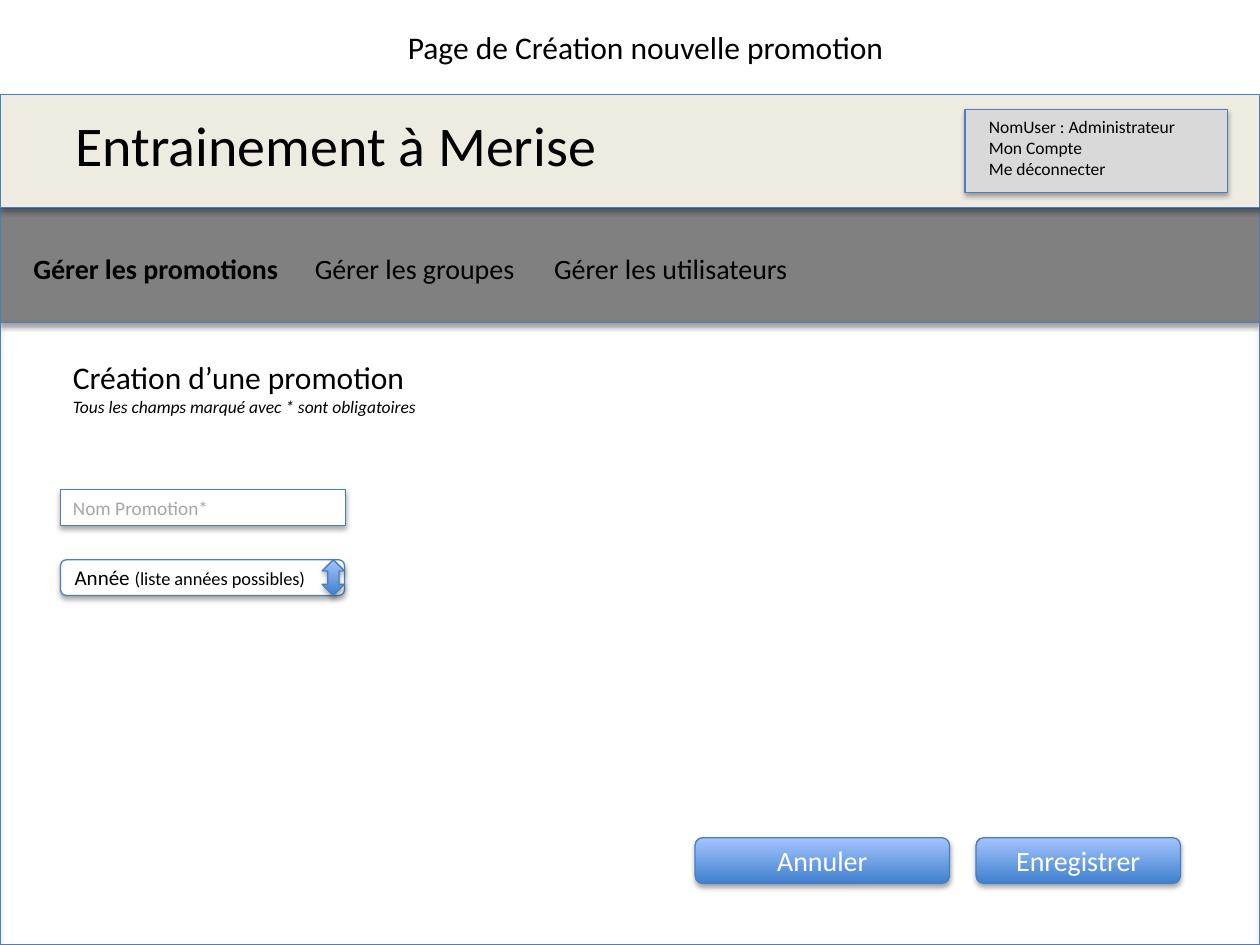
"""Build the mock-up of the page for creating a new promotion."""
from lxml import etree
from pptx import Presentation
from pptx.dml.color import RGBColor
from pptx.enum.shapes import MSO_SHAPE
from pptx.enum.text import MSO_ANCHOR, PP_ALIGN
from pptx.oxml.ns import nsdecls, qn
from pptx.util import Pt

BLACK = RGBColor(0, 0, 0)
WHITE = RGBColor(255, 255, 255)
PLACEHOLDER = RGBColor(0xA6, 0xA6, 0xA6)
LINE = RGBColor(0x4B, 0x7E, 0xBC)
MENU = RGBColor(0x80, 0x80, 0x80)
BANNER = RGBColor(0xEE, 0xEC, 0xE1)
ACCOUNT = RGBColor(0xD9, 0xD9, 0xD9)
GRADIENT = (RGBColor(0x3F, 0x80, 0xCE), RGBColor(0xA4, 0xC4, 0xFF))
SHADOW = (f'<a:outerShdw {nsdecls("a")} blurRad="{Pt(3.1)}" dist="{Pt(1.8)}" dir="5400000" '
          'rotWithShape="0"><a:srgbClr val="000000"><a:alpha val="35000"/></a:srgbClr></a:outerShdw>')


def add_box(parent, kind, box, fill):
    """Add an outlined shape with a soft shadow."""
    sp = parent.add_shape(kind, *map(Pt, box))
    if fill is None:
        sp.fill.background()
    elif fill is GRADIENT:
        sp.fill.gradient()
        sp.fill.gradient_angle = 90
        for stop, color in zip(sp.fill.gradient_stops, GRADIENT):
            stop.color.rgb = color
    else:
        sp.fill.solid()
        sp.fill.fore_color.rgb = fill
    sp.line.color.rgb = LINE
    sp.line.width = Pt(0.75)
    sp.shadow.inherit = False
    sp._element.spPr.find(qn("a:effectLst")).append(etree.fromstring(SHADOW))
    return sp


def write(sp, paragraphs, color=BLACK, align=PP_ALIGN.LEFT, anchor=MSO_ANCHOR.TOP):
    """Fill a shape with paragraphs of (text, size, bold, italic) runs."""
    tf = sp.text_frame
    tf.word_wrap = True
    tf.vertical_anchor = anchor
    for i, runs in enumerate(paragraphs):
        p = tf.add_paragraph() if i else tf.paragraphs[0]
        p.alignment = align
        for text, size, bold, italic in runs:
            r = p.add_run()
            r.text = text
            r.font.name = "Calibri"
            r.font.size = Pt(size)
            r.font.bold = bold
            r.font.italic = italic
            r.font.color.rgb = color


prs = Presentation()
prs.slide_width, prs.slide_height = Pt(720), Pt(540)
s = prs.slides.add_slide(prs.slide_layouts[6])

for box, fill in [
    ((0, 118.8, 720, 65.5), MENU),
    ((0, 54, 720, 64.8), BANNER),
    ((551.5, 62.6, 149.8, 47.5), ACCOUNT),
    ((0, 184.3, 720, 355.7), None),
]:
    add_box(s.shapes, MSO_SHAPE.RECTANGLE, box, fill)

account = ["NomUser : Administrateur", "Mon Compte", "Me déconnecter"]
for box, align, paragraphs in [
    ((36, 59.8, 318.2, 46), PP_ALIGN.LEFT, [[("Entrainement à Merise", 32, False, False)]]),
    ((138.2, 12.2, 461.5, 29), PP_ALIGN.CENTER,
     [[("Page de Création nouvelle promotion", 18, False, False)]]),
    ((558, 62.6, 123.1, 43.9), PP_ALIGN.LEFT, [[(t, 10, False, False)] for t in account]),
    ((12, 140.4, 160.6, 26.6), PP_ALIGN.LEFT, [[("Gérer les promotions", 16, True, False)]]),
    ((172.8, 140.4, 131.8, 26.6), PP_ALIGN.LEFT, [[("Gérer les groupes", 16, False, False)]]),
    ((309.6, 140.4, 160.6, 26.6), PP_ALIGN.LEFT, [[("Gérer les utilisateurs", 16, False, False)]]),
    ((34.6, 200.9, 247, 42.5), PP_ALIGN.LEFT,
     [[("Création d’une promotion", 18, False, False)],
      [("Tous les champs marqué avec * sont obligatoires", 10, False, True)]]),
]:
    write(s.shapes.add_textbox(*map(Pt, box)), paragraphs, align=align)

name_field = add_box(s.shapes, MSO_SHAPE.RECTANGLE, (34.6, 279.9, 162.7, 20.4), WHITE)
write(name_field, [[("Nom Promotion*", 11, False, False)]], PLACEHOLDER, anchor=MSO_ANCHOR.MIDDLE)

year_list = s.shapes.add_group_shape().shapes
year_field = add_box(year_list, MSO_SHAPE.ROUNDED_RECTANGLE, (34.6, 319.9, 162.3, 20.4), WHITE)
write(year_field, [[("Année ", 12, False, False), ("(liste années possibles)", 10.5, False, False)]],
      anchor=MSO_ANCHOR.MIDDLE)
add_box(year_list, MSO_SHAPE.UP_DOWN_ARROW, (184.1, 319.9, 12.8, 20.4), GRADIENT)

for label, left, width in [("Annuler", 397.2, 145.4), ("Enregistrer", 557.8, 116.8)]:
    button = add_box(s.shapes, MSO_SHAPE.ROUNDED_RECTANGLE, (left, 478.7, width, 26.2), GRADIENT)
    write(button, [[(label, 16, False, False)]], WHITE, PP_ALIGN.CENTER, MSO_ANCHOR.MIDDLE)

prs.save("out.pptx")
